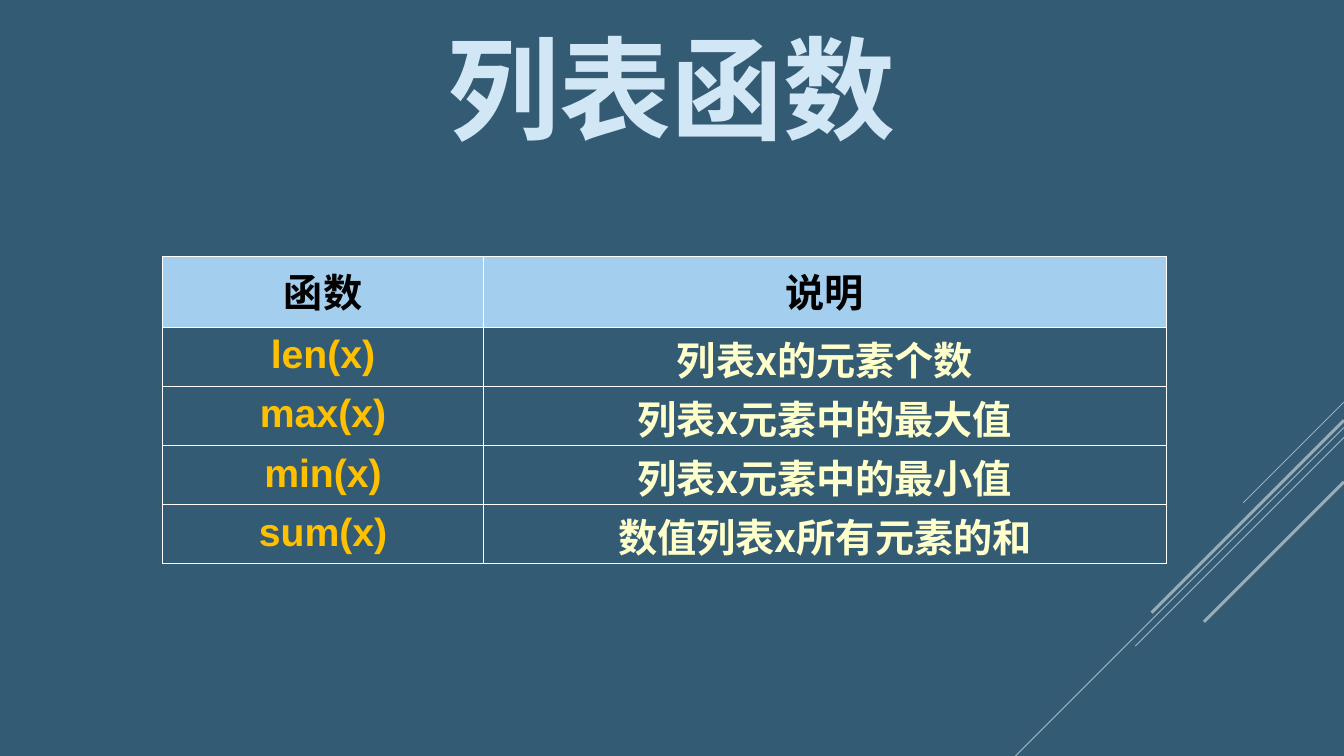
from lxml.etree import SubElement
from pptx import Presentation
from pptx.dml.color import RGBColor
from pptx.enum.shapes import MSO_CONNECTOR
from pptx.enum.text import MSO_ANCHOR, MSO_AUTO_SIZE, PP_ALIGN
from pptx.oxml.ns import qn
from pptx.util import Cm, Pt

BACKGROUND = RGBColor(0x33, 0x5B, 0x74)
TITLE_BLUE = RGBColor(0xD1, 0xE7, 0xF6)
HEADER_BLUE = RGBColor(0xA3, 0xCE, 0xED)
WHITE = RGBColor(0xFF, 0xFF, 0xFF)
BLACK = RGBColor(0, 0, 0)
AMBER = RGBColor(0xFF, 0xC0, 0x00)
CREAM = RGBColor(0xFF, 0xFF, 0xCC)

PAGE_WIDTH, PAGE_HEIGHT = 33.87, 19.05
CHINESE_FONT, LATIN_FONT = "Noto Sans CJK SC", "Arial"

# Each diagonal starts on the right edge: top, horizontal run, line width
DIAGONALS = [
    (10.13, 2.54, 0.75),
    (10.77, 8.28, 0.75),
    (11.02, 5.26, 0.75),
    (10.59, 4.85, 2.25),
    (12.14, 3.53, 2.25),
]
HEADINGS = ("函数", "说明")
FUNCTIONS = [
    ("len(x)", "列表x的元素个数"),
    ("max(x)", "列表x元素中的最大值"),
    ("min(x)", "列表x元素中的最小值"),
    ("sum(x)", "数值列表x所有元素的和"),
]


class SlideBuilder:
    def __init__(self, page):
        self.page = page
        fill = page.background.fill
        fill.solid()
        fill.fore_color.rgb = BACKGROUND

    def add_text(self, frame, text, size, font, color):
        """Put one centred bold run in the frame's first paragraph."""
        para = frame.paragraphs[0]
        para.alignment = PP_ALIGN.CENTER
        span = para.add_run()
        span.text = text
        span.font.size = Pt(size)
        span.font.bold = True
        span.font.name = font
        span.font.color.rgb = color
        SubElement(span.font._element, qn("a:ea"), typeface=font)
        return para

    def title(self, text):
        box = self.page.shapes.add_textbox(Cm(1.3), Cm(0.76), Cm(31.24), Cm(3.68))
        frame = box.text_frame
        frame.word_wrap = True
        frame.auto_size = MSO_AUTO_SIZE.SHAPE_TO_FIT_TEXT
        para = self.add_text(frame, text, 80, CHINESE_FONT, TITLE_BLUE)
        para.line_spacing = 0.9

    def diagonal(self, top, run, width):
        line = self.page.shapes.add_connector(
            MSO_CONNECTOR.STRAIGHT,
            Cm(PAGE_WIDTH), Cm(top), Cm(PAGE_WIDTH - run), Cm(top + run))
        line.line.width = Pt(width)
        line.line.color.rgb = WHITE
        color = line._element.spPr.find(".//" + qn("a:srgbClr"))
        SubElement(color, qn("a:alpha"), val="50000")
        SubElement(line._element.spPr, qn("a:effectLst"))

    def border(self, cell):
        properties = cell._tc.get_or_add_tcPr()
        for position, side in enumerate(("lnL", "lnR", "lnT", "lnB")):
            edge = SubElement(properties, qn(f"a:{side}"), w=str(Pt(0.75)))
            fill = SubElement(edge, qn("a:solidFill"))
            SubElement(fill, qn("a:srgbClr"), val=str(WHITE))
            properties.insert(position, edge)

    def cell(self, cell, text, font, color, fill=None, inset=0.15):
        cell.margin_left = cell.margin_right = Cm(0.3)
        cell.margin_top = cell.margin_bottom = Cm(inset)
        if fill is None:
            cell.fill.background()
        else:
            cell.fill.solid()
            cell.fill.fore_color.rgb = fill
        self.border(cell)
        self.add_text(cell.text_frame, text, 28, font, color)

    def function_table(self, headings, functions):
        widths = (8.1, 17.2)
        heights = [1.8] + [1.49] * len(functions)
        table = self.page.shapes.add_table(
            len(heights), len(widths), Cm(4.09), Cm(6.45),
            Cm(sum(widths)), Cm(sum(heights))).table
        for column, width in zip(table.columns, widths):
            column.width = Cm(width)
        for row, height in zip(table.rows, heights):
            row.height = Cm(height)
        for index, heading in enumerate(headings):
            self.cell(table.cell(0, index), heading, CHINESE_FONT, BLACK, HEADER_BLUE)
        for index, (name, meaning) in enumerate(functions, start=1):
            self.cell(table.cell(index, 0), name, LATIN_FONT, AMBER)
            # The tall Chinese line needs the whole row height
            description = table.cell(index, 1)
            self.cell(description, meaning, CHINESE_FONT, CREAM, inset=0)
            description.vertical_anchor = MSO_ANCHOR.BOTTOM


def main():
    deck = Presentation()
    deck.slide_width, deck.slide_height = Cm(PAGE_WIDTH), Cm(PAGE_HEIGHT)
    builder = SlideBuilder(deck.slides.add_slide(deck.slide_layouts[6]))
    for diagonal in DIAGONALS:
        builder.diagonal(*diagonal)
    builder.title("列表函数")
    builder.function_table(HEADINGS, FUNCTIONS)
    deck.save("out.pptx")


if __name__ == "__main__":
    main()
